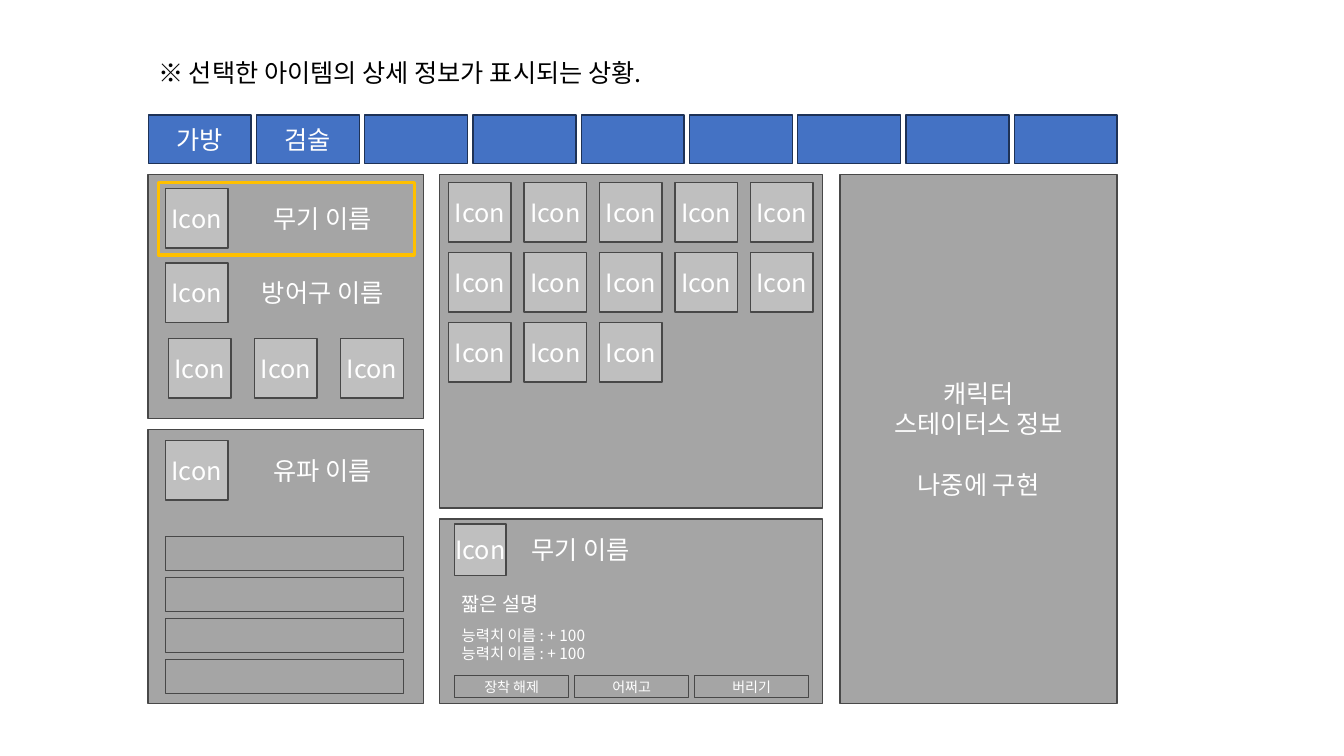
from lxml.etree import SubElement
from pptx import Presentation
from pptx.dml.color import RGBColor
from pptx.enum.shapes import MSO_SHAPE
from pptx.enum.text import MSO_ANCHOR, PP_ALIGN
from pptx.oxml.ns import qn
from pptx.util import Inches, Pt

FONT = "Noto Sans CJK KR"
GRAY, PALE, EDGE = "A5A5A5", "BFBFBF", "484848"

deck = Presentation()
deck.slide_width, deck.slide_height = Inches(13.33), Inches(7.5)
slide = deck.slides.add_slide(deck.slide_layouts[6])


def write(text, left, top, width, height, fill=None, line=None, weight=1, size=18,
          color="FFFFFF", align=PP_ALIGN.CENTER, wrap=True, gaps=()):
    """Add a box with one paragraph per line of text; unpainted text gets a text box."""
    place = [Inches(n) for n in (left, top, width, height)]
    if fill or line:
        shape = slide.shapes.add_shape(MSO_SHAPE.RECTANGLE, *place)
        shape.shadow.inherit = False
    else:
        shape = slide.shapes.add_textbox(*place)
    for paint, hue in ((shape.fill, fill), (shape.line.fill, line)):
        if hue:
            paint.solid()
            paint.fore_color.rgb = RGBColor.from_string(hue)
        else:
            paint.background()
    if line:
        shape.line.width = Pt(weight)
    frame = shape.text_frame
    frame.word_wrap = wrap
    frame.vertical_anchor = MSO_ANCHOR.MIDDLE
    if text:
        frame.text = text
    for i, para in enumerate(frame.paragraphs):
        para.alignment = align
        if i < len(gaps):
            para.space_before = Pt(gaps[i])
        for run in para.runs:
            run.font.name, run.font.size = FONT, Pt(size)
            run.font.color.rgb = RGBColor.from_string(color)
            SubElement(run.font._element, qn("a:ea"), typeface=FONT)


def icon(left, top, width=0.62, height=0.59):
    write("Icon", left, top, width, height, fill=PALE, line=EDGE, wrap=False)


# Title
write("※ 선택한 아이템의 상세 정보가 표시되는 상황.", 1.47, 0.52, 6.67, 0.4,
      color="000000", align=PP_ALIGN.LEFT)

# Tabs
step = (10.06 - 1.47) / 8
for i, name in enumerate(["가방", "검술"] + [""] * 7):
    write(name, 1.47 + i * step, 1.14, 1.02, 0.48, fill="4472C4", line="1E3256")

# Panels
write("캐릭터\n스테이터스 정보\n나중에 구현", 8.33, 1.73, 2.75, 5.25,
      fill=GRAY, line=EDGE, gaps=(0, 0, 21.6))
for area in ((1.47, 1.73, 2.73, 2.42), (4.36, 1.73, 3.8, 3.31),
             (1.47, 4.26, 2.73, 2.72), (4.36, 5.15, 3.8, 1.83)):
    write("", *area, fill=GRAY, line=EDGE)

# Gear and school names
for name, top in (("무기 이름", 1.87), ("방어구 이름", 2.61), ("유파 이름", 4.37)):
    icon(1.64, top)
    write(name, 2.35, top, 1.7, 0.59, fill=GRAY)
for i in range(3):
    icon(1.67 + i * 0.855, 3.36)

# Selection frame
write("", 1.57, 1.81, 2.54, 0.72, line="FFC000", weight=2.25)

# School slots
for i in range(4):
    write("", 1.64, 5.32 + i * 0.407, 2.36, 0.34, fill=GRAY, line=EDGE)

# Bag grid
for i in range(13):
    row, col = divmod(i, 5)
    icon(4.45 + col * 0.748, 1.81 + row * 0.695)

# Item details
icon(4.51, 5.2, 0.51, 0.51)
write("무기 이름", 5.17, 5.26, 1.6, 0.38, align=PP_ALIGN.LEFT)
write("짧은 설명", 4.48, 5.75, 3.53, 0.47, size=14, align=PP_ALIGN.JUSTIFY)
write("능력치 이름 : + 100\n능력치 이름 : + 100", 4.48, 6.15, 3.55, 0.48,
      size=11, align=PP_ALIGN.JUSTIFY)

# Buttons
for i, name in enumerate(("장착 해제", "어쩌고", "버리기")):
    write(name, 4.51 + i * 1.19, 6.7, 1.13, 0.22, fill=GRAY, line=EDGE, size=10)

deck.save("out.pptx")
